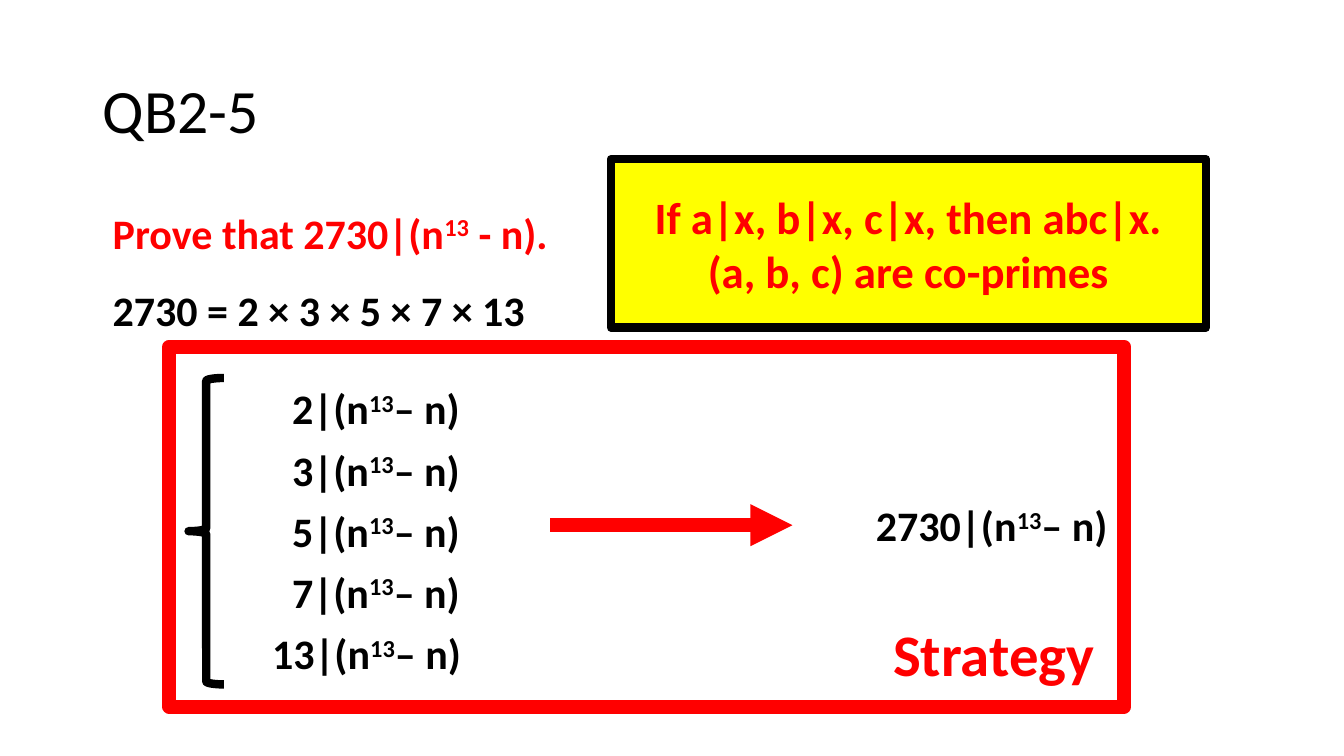
from dataclasses import dataclass

from lxml.etree import SubElement
from pptx import Presentation
from pptx.dml.color import RGBColor
from pptx.enum.shapes import MSO_CONNECTOR, MSO_SHAPE
from pptx.enum.text import MSO_ANCHOR, MSO_AUTO_SIZE, PP_ALIGN
from pptx.oxml.ns import qn
from pptx.shapes.autoshape import Shape
from pptx.slide import Slide
from pptx.text.text import _Paragraph as Paragraph
from pptx.util import Inches, Pt

BLACK = RGBColor(0x00, 0x00, 0x00)
RED = RGBColor(0xFF, 0x00, 0x00)
YELLOW = RGBColor(0xFF, 0xFF, 0x00)
FONT = "Calibri"
POWER = "(n^13^– n)"


@dataclass
class Label:
    text: str
    left: float
    top: float
    width: float
    height: float = 0.61
    size: float = 30
    color: RGBColor = BLACK


@dataclass
class Outline:
    kind: MSO_SHAPE
    left: float
    top: float
    width: float
    height: float
    color: RGBColor
    weight: float


DIVISORS = [2, 3, 5, 7, 13]
DIVISOR_RIGHT, DIVISOR_TOP, DIVISOR_STEP = 4.73, 3.75, 0.607

BRACE = Outline(MSO_SHAPE.LEFT_BRACE, 1.87, 3.75, 0.35, 3.04, BLACK, 6)
STRATEGY_FRAME = Outline(MSO_SHAPE.RECTANGLE, 1.68, 3.44, 9.47, 3.57, RED, 10)
RULE_BOX = Outline(MSO_SHAPE.RECTANGLE, 6.06, 1.58, 5.9, 1.67, BLACK, 6)


def write(paragraph: Paragraph, text: str, size: float, color: RGBColor,
          bold: bool = True) -> None:
    """Add text as runs; the parts between ^ marks are superscript."""
    for index, part in enumerate(text.split("^")):
        run = paragraph.add_run()
        run.text = part
        run.font.name = FONT
        run.font.size = Pt(size)
        run.font.bold = bold
        run.font.color.rgb = color
        if index % 2:
            run._r.get_or_add_rPr().set("baseline", "30000")


def add_title(slide: Slide, text: str) -> None:
    box = slide.shapes.add_textbox(Inches(0.92), Inches(0.4), Inches(11.5), Inches(1.45))
    frame = box.text_frame
    frame.word_wrap = True
    frame.vertical_anchor = MSO_ANCHOR.MIDDLE
    frame.paragraphs[0].line_spacing = 0.9
    write(frame.paragraphs[0], text, 44, BLACK, bold=False)


def add_label(slide: Slide, label: Label) -> None:
    box = slide.shapes.add_textbox(Inches(label.left), Inches(label.top),
                                   Inches(label.width), Inches(label.height))
    frame = box.text_frame
    frame.word_wrap = False
    frame.auto_size = MSO_AUTO_SIZE.SHAPE_TO_FIT_TEXT
    write(frame.paragraphs[0], label.text, label.size, label.color)


def add_outline(slide: Slide, outline: Outline) -> Shape:
    shape = slide.shapes.add_shape(outline.kind, Inches(outline.left), Inches(outline.top),
                                   Inches(outline.width), Inches(outline.height))
    shape.shadow.inherit = False
    shape.fill.background()
    shape.line.color.rgb = outline.color
    shape.line.width = Pt(outline.weight)
    return shape


def add_arrow(slide: Slide, start: float, end: float, y: float) -> None:
    arrow = slide.shapes.add_connector(MSO_CONNECTOR.STRAIGHT, Inches(start), Inches(y),
                                       Inches(end), Inches(y))
    arrow.line.color.rgb = RED
    arrow.line.width = Pt(10)
    SubElement(arrow.line._get_or_add_ln(), qn("a:tailEnd"), type="triangle")
    SubElement(arrow._element.spPr, qn("a:effectLst"))


def add_rule_box(slide: Slide, lines: list[str]) -> None:
    box = add_outline(slide, RULE_BOX)
    box.fill.solid()
    box.fill.fore_color.rgb = YELLOW
    frame = box.text_frame
    frame.vertical_anchor = MSO_ANCHOR.MIDDLE
    frame.text = "\n".join(lines)
    for paragraph in frame.paragraphs:
        paragraph.alignment = PP_ALIGN.CENTER
        for run in paragraph.runs:
            run.font.name = FONT
            run.font.size = Pt(32)
            run.font.bold = True
            run.font.color.rgb = RED


def main() -> None:
    presentation = Presentation()
    presentation.slide_width = Inches(13.33)
    presentation.slide_height = Inches(7.5)
    slide = presentation.slides.add_slide(presentation.slide_layouts[6])

    add_title(slide, "QB2-5")
    add_label(slide, Label("Prove that 2730|(n^13^ - n).", 1.02, 2.01, 4.6, color=RED))
    add_label(slide, Label("2730 = 2 × 3 × 5 × 7 × 13", 1.02, 2.77, 4.34))
    for row, divisor in enumerate(DIVISORS):
        width = 1.93 if divisor < 10 else 2.13
        add_label(slide, Label(f"{divisor}|{POWER}", DIVISOR_RIGHT - width,
                               DIVISOR_TOP + row * DIVISOR_STEP, width))
    add_outline(slide, BRACE)
    add_arrow(slide, 5.46, 7.86, 5.21)
    add_label(slide, Label(f"2730|{POWER}", 8.59, 4.91, 2.56))
    add_outline(slide, STRATEGY_FRAME)
    add_label(slide, Label("Strategy", 8.76, 6.08, 2.22, 0.81, 42, RED))
    add_rule_box(slide, ["If a|x, b|x, c|x, then abc|x.", "(a, b, c) are co-primes"])

    presentation.save("out.pptx")


if __name__ == "__main__":
    main()
